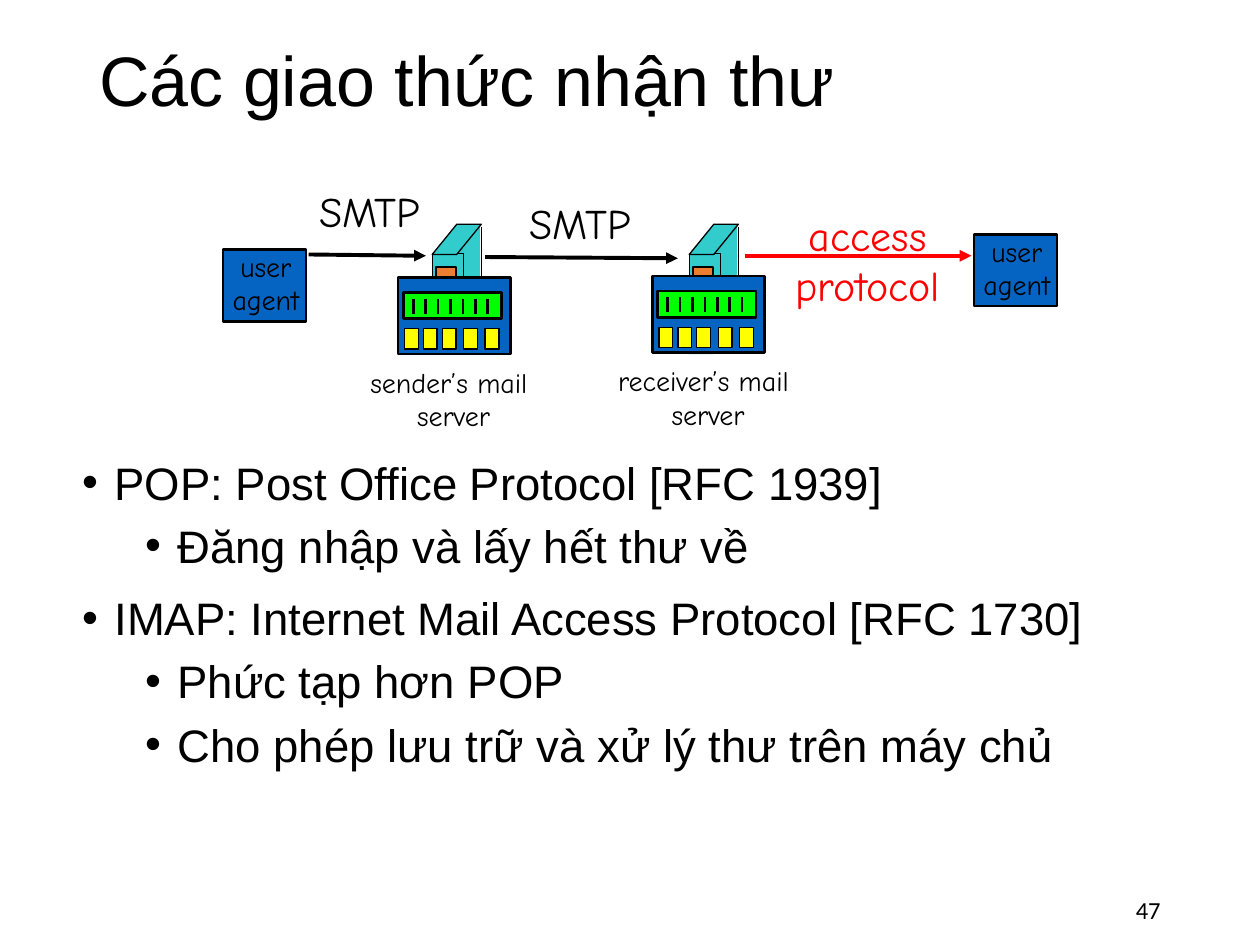
from dataclasses import dataclass

from lxml import etree
from pptx import Presentation
from pptx.dml.color import RGBColor
from pptx.enum.shapes import MSO_CONNECTOR as Connector, MSO_SHAPE as Preset
from pptx.enum.text import MSO_ANCHOR as Anchor, PP_ALIGN as Align
from pptx.oxml.ns import qn
from pptx.util import Inches, Pt


@dataclass(frozen=True)
class Theme:
    black: str = "000000"
    white: str = "FFFFFF"
    red: str = "FF0000"
    blue: str = "0563C1"
    teal: str = "33CCCC"
    orange: str = "ED7D31"
    green: str = "00FF00"
    yellow: str = "FFFF00"
    main_font: str = "Arial"
    label_font: str = "Comic Neue"
    number_font: str = "Calibri"
    title_size: float = 40
    body_size: float = 26
    protocol_size: float = 24
    label_size: float = 16
    number_size: float = 14
    thin: float = 0.75
    medium: float = 1.5
    thick: float = 2.25


@dataclass(frozen=True)
class Area:
    left: float
    top: float
    width: float
    height: float


@dataclass(frozen=True)
class Bullet:
    text: str
    level: int = 0


@dataclass(frozen=True)
class Server:
    tower_left: float
    cabinet_left: float
    cabinet_top: float
    label: tuple[str, ...]
    label_area: Area


@dataclass(frozen=True)
class Arrow:
    start: tuple[float, float]
    end: tuple[float, float]
    color: str


THEME = Theme()
TOWER_TOP = 1.78
AGENTS = [(1.77, 1.98), (7.73, 1.86)]
SERVERS = [
    Server(3.43, 3.16, 2.2, ("sender’s mail ", "server"), Area(2.8, 2.85, 1.6, 0.64)),
    Server(5.47, 5.18, 2.19, ("receiver’s mail ", "server"), Area(4.74, 2.84, 1.76, 0.64)),
]
ARROWS = [
    Arrow((2.45, 2.02), (3.38, 2.03), THEME.black),
    Arrow((3.85, 2.04), (5.38, 2.05), THEME.black),
    Arrow((5.91, 2.03), (7.71, 2.03), THEME.red),
]
SMTP_LABELS = [(2.47, 1.49), (4.14, 1.59)]
BULLETS = [
    Bullet("POP: Post Office Protocol [RFC 1939]"),
    Bullet("Đăng nhập và lấy hết thư về", 1),
    Bullet("IMAP: Internet Mail Access Protocol [RFC 1730]"),
    Bullet("Phức tạp hơn POP", 1),
    Bullet("Cho phép lưu trữ và xử lý thư trên máy chủ", 1),
]


def add_bullet(para, level: int) -> None:
    properties = para._p.get_or_add_pPr()
    properties.set("marL", str(Inches(0.25 + 0.5 * level)))
    properties.set("indent", str(Inches(-0.25)))
    etree.SubElement(properties, qn("a:buFont")).set("typeface", THEME.main_font)
    etree.SubElement(properties, qn("a:buChar")).set("char", "•")


def add_text(page, area: Area, lines, *, size: float, font: str = THEME.label_font,
             color: str = THEME.black, align=Align.CENTER, anchor=Anchor.TOP,
             wrap: bool = False, spacing: float | None = None) -> None:
    box = page.shapes.add_textbox(Inches(area.left), Inches(area.top),
                                  Inches(area.width), Inches(area.height))
    frame = box.text_frame
    frame.word_wrap = wrap
    frame.vertical_anchor = anchor
    for index, line in enumerate(lines):
        para = frame.paragraphs[0] if index == 0 else frame.add_paragraph()
        para.alignment = align
        if spacing:
            para.line_spacing = spacing
        if isinstance(line, Bullet):
            add_bullet(para, line.level)
            if index:
                para.space_before = Pt(5 if line.level else 10)
        span = para.add_run()
        span.text = line.text if isinstance(line, Bullet) else line
        span.font.name = font
        span.font.size = Pt(size)
        span.font.color.rgb = RGBColor.from_string(color)


def add_block(page, area: Area, fill: str, border: float = 0, preset=Preset.RECTANGLE) -> None:
    block = page.shapes.add_shape(preset, Inches(area.left), Inches(area.top),
                                  Inches(area.width), Inches(area.height))
    block.shadow.inherit = False
    block.fill.solid()
    block.fill.fore_color.rgb = RGBColor.from_string(fill)
    if preset == Preset.PARALLELOGRAM:
        block.adjustments[0] = 0.814
    if border:
        block.line.color.rgb = RGBColor.from_string(THEME.black)
        block.line.width = Pt(border)
    else:
        block.line.fill.background()


def add_line(page, start, end, width: float, color: str = THEME.black, arrow: bool = False) -> None:
    line = page.shapes.add_connector(Connector.STRAIGHT, Inches(start[0]), Inches(start[1]),
                                     Inches(end[0]), Inches(end[1]))
    line.line.color.rgb = RGBColor.from_string(color)
    line.line.width = Pt(width)
    if arrow:
        etree.SubElement(line.line._get_or_add_ln(), qn("a:tailEnd")).set("type", "triangle")
    etree.SubElement(line._element.spPr, qn("a:effectLst"))


def draw_agent(page, left: float, top: float) -> None:
    add_block(page, Area(left, top, 0.66, 0.57), THEME.blue, THEME.medium)
    add_text(page, Area(left - 0.05, top - 0.05, 0.78, 0.64), ("user", "agent"),
             size=THEME.label_size)


def draw_tower(page, left: float, top: float) -> None:
    right, side_bottom = left + 0.39, top + 0.79
    add_block(page, Area(left, side_bottom, 0.39, 0.24), THEME.teal, preset=Preset.PARALLELOGRAM)
    add_block(page, Area(left + 0.2, top + 0.01, 0.18, 0.78), THEME.teal)
    add_block(page, Area(left, top + 0.23, 0.25, 0.78), THEME.teal, THEME.thin)
    add_block(page, Area(left, top, 0.39, 0.24), THEME.teal, THEME.thin, Preset.PARALLELOGRAM)
    add_line(page, (right, top + 0.02), (right, side_bottom), THEME.thin)
    add_line(page, (right, side_bottom), (left + 0.25, top + 1.02), THEME.thin)
    add_block(page, Area(left + 0.03, top + 0.34, 0.16, 0.45), THEME.orange, THEME.thin)


def draw_cabinet(page, left: float, top: float) -> None:
    add_block(page, Area(left, top, 0.89, 0.61), THEME.blue, THEME.medium)
    add_block(page, Area(left + 0.04, top + 0.12, 0.78, 0.21), THEME.green, THEME.medium)
    for index in range(7):
        tick = left + 0.12 + 0.59 / 6 * index
        add_line(page, (tick, top + 0.17), (tick, top + 0.29), THEME.medium)
    for offset in (0.05, 0.2, 0.35, 0.52, 0.69):
        add_block(page, Area(left + offset, top + 0.41, 0.11, 0.16), THEME.yellow, THEME.thin)


def main() -> None:
    deck = Presentation()
    deck.slide_width, deck.slide_height = Inches(10), Inches(7.5)
    page = deck.slides.add_slide(deck.slide_layouts[6])
    add_text(page, Area(0.69, 0.26, 8.62, 0.81), ["Các giao thức nhận thư"],
             size=THEME.title_size, font=THEME.main_font, align=Align.LEFT,
             anchor=Anchor.MIDDLE, wrap=True, spacing=0.9)
    add_text(page, Area(0.56, 3.56, 8.55, 2.86), BULLETS, size=THEME.body_size,
             font=THEME.main_font, align=Align.LEFT, wrap=True)
    for left, top in AGENTS:
        draw_agent(page, left, top)
    for server in SERVERS:
        draw_tower(page, server.tower_left, TOWER_TOP)
        draw_cabinet(page, server.cabinet_left, server.cabinet_top)
        add_text(page, server.label_area, server.label, size=THEME.label_size)
    for left, top in SMTP_LABELS:
        add_block(page, Area(left, top, 0.94, 0.33), THEME.white)
        add_text(page, Area(left - 0.1, top - 0.07, 1.13, 0.5), ["SMTP"], size=THEME.protocol_size)
    for arrow in ARROWS:
        add_line(page, arrow.start, arrow.end, THEME.thick, arrow.color, arrow=True)
    add_text(page, Area(6.14, 1.61, 1.49, 0.9), ("access", "protocol"),
             size=THEME.protocol_size, color=THEME.red)
    add_text(page, Area(7.06, 7.02, 2.25, 0.4), ["47"], size=THEME.number_size,
             font=THEME.number_font, align=Align.RIGHT, anchor=Anchor.MIDDLE, wrap=True)
    deck.save("out.pptx")


if __name__ == "__main__":
    main()
